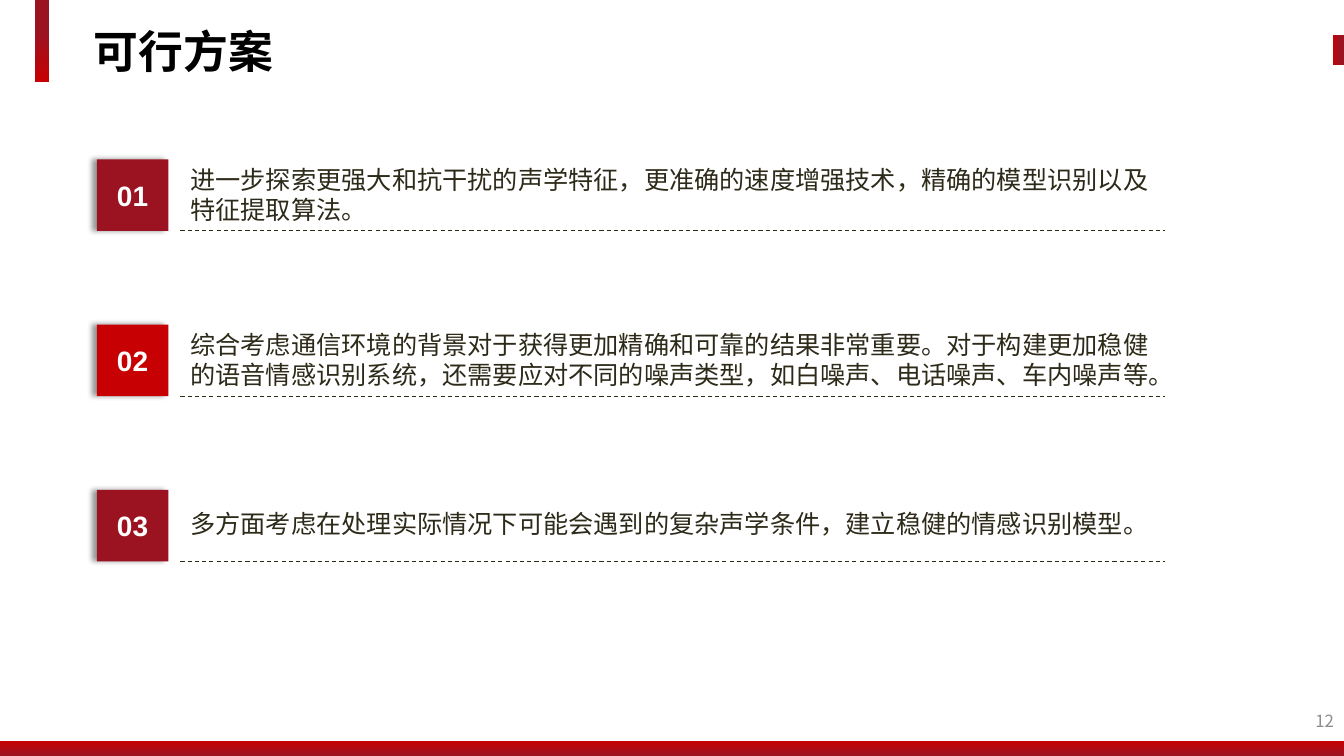
from dataclasses import dataclass

from lxml import etree
from pptx import Presentation
from pptx import util as u
from pptx.dml.color import RGBColor
from pptx.enum import dml, shapes, text
from pptx.oxml import ns


@dataclass(frozen=True)
class Theme:
    dark_red: str = "9B1321"
    red: str = "C70003"
    ink: str = "2D2A19"
    black: str = "000000"
    white: str = "FFFFFF"
    grey: str = "8C8C8C"
    latin: str = "Arial"
    chinese: str = "Noto Sans CJK SC"
    title_size: int = 32
    number_size: int = 20
    body_size: int = 18
    page_size: int = 12


@dataclass(frozen=True)
class Box:
    left: float
    top: float
    width: float
    height: float

    def lengths(self) -> list:
        return [u.Inches(n) for n in (self.left, self.top, self.width, self.height)]


@dataclass(frozen=True)
class Bar:
    box: Box
    angle: int
    first_stop: float


@dataclass(frozen=True)
class Proposal:
    number: str
    color: str
    wording: str
    text_offset: float = 0
    text_height: float = 0.71


THEME = Theme()
FIRST_TOP, ROW_PITCH, SQUARE = 1.58, 1.64, 0.71
SQUARE_LEFT, TEXT_LEFT, RULE_RIGHT, TEXT_WIDTH = 0.96, 1.79, 11.55, 9.83

BARS = [
    Bar(Box(13.22, 0.35, 0.11, 0.3), 180, 0.39),
    Bar(Box(0.35, 0, 0.14, 0.81), 270, 0.39),
    Bar(Box(0, 7.35, 13.33, 0.15), 90, 0),
]
PROPOSALS = [
    Proposal("01", THEME.dark_red,
             "进一步探索更强大和抗干扰的声学特征，更准确的速度增强技术，"
             "精确的模型识别以及特征提取算法。"),
    Proposal("02", THEME.red,
             "综合考虑通信环境的背景对于获得更加精确和可靠的结果非常重要。"
             "对于构建更加稳健的语音情感识别系统，还需要应对不同的噪声类型，"
             "如白噪声、电话噪声、车内噪声等。"),
    Proposal("03", THEME.dark_red,
             "多方面考虑在处理实际情况下可能会遇到的复杂声学条件，"
             "建立稳健的情感识别模型。", 0.13, 0.4),
]


def write(shape, wording: str, size: int, color: str, font_name: str,
          bold: bool = False, align=text.PP_ALIGN.LEFT,
          anchor=text.MSO_ANCHOR.TOP) -> None:
    frame = shape.text_frame
    frame_format = {"word_wrap": True, "vertical_anchor": anchor,
                    "auto_size": text.MSO_AUTO_SIZE.NONE}
    for name, value in frame_format.items():
        setattr(frame, name, value)
    paragraph = frame.paragraphs[0]
    paragraph.alignment = align
    run = paragraph.add_run()
    run.text = wording
    for name, value in {"size": u.Pt(size), "bold": bold, "name": font_name}.items():
        setattr(run.font, name, value)
    run.font.color.rgb = RGBColor.from_string(color)
    # East Asian typeface
    etree.SubElement(run._r.get_or_add_rPr(), ns.qn("a:ea"), typeface=THEME.chinese)


def add_rectangle(slide, box: Box):
    shape = slide.shapes.add_shape(shapes.MSO_SHAPE.RECTANGLE, *box.lengths())
    shape.line.fill.background()
    shape.shadow.inherit = False
    return shape


def add_bar(slide, bar: Bar) -> None:
    fill = add_rectangle(slide, bar.box).fill
    fill.gradient()
    fill.gradient_angle = bar.angle
    stops = [(bar.first_stop, THEME.dark_red), (1, THEME.red)]
    for stop, (position, color) in zip(fill.gradient_stops, stops):
        stop.position = position
        stop.color.rgb = RGBColor.from_string(color)


def add_left_shadow(shape) -> None:
    effects = shape._element.spPr.find(ns.qn("a:effectLst"))
    shadow = etree.SubElement(effects, ns.qn("a:outerShdw"), blurRad=str(u.Pt(4)),
                              dist=str(u.Pt(3)), dir="10800000", algn="r",
                              rotWithShape="0")
    color = etree.SubElement(shadow, ns.qn("a:srgbClr"), val=THEME.black)
    etree.SubElement(color, ns.qn("a:alpha"), val="40000")


def add_rule(slide, y: float) -> None:
    rule = slide.shapes.add_connector(
        shapes.MSO_CONNECTOR.STRAIGHT, u.Inches(TEXT_LEFT), u.Inches(y),
        u.Inches(RULE_RIGHT), u.Inches(y))
    rule.line.color.rgb = RGBColor.from_string(THEME.ink)
    rule.line.width = u.Pt(0.75)
    rule.line.dash_style = dml.MSO_LINE.DASH
    etree.SubElement(rule._element.spPr, ns.qn("a:effectLst"))


def add_proposal(slide, proposal: Proposal, top: float) -> None:
    square = add_rectangle(slide, Box(SQUARE_LEFT, top, SQUARE, SQUARE))
    square.fill.solid()
    square.fill.fore_color.rgb = RGBColor.from_string(proposal.color)
    add_left_shadow(square)
    write(square, proposal.number, THEME.number_size, THEME.white, THEME.latin,
          True, text.PP_ALIGN.CENTER, text.MSO_ANCHOR.MIDDLE)
    add_rule(slide, top + SQUARE)
    box = Box(TEXT_LEFT, top + proposal.text_offset, TEXT_WIDTH, proposal.text_height)
    write(slide.shapes.add_textbox(*box.lengths()), proposal.wording,
          THEME.body_size, THEME.ink, THEME.latin)


def main() -> None:
    presentation = Presentation()
    presentation.slide_width = u.Inches(13.33)
    presentation.slide_height = u.Inches(7.5)
    slide = presentation.slides.add_slide(presentation.slide_layouts[5])

    # Decorative bars
    for bar in BARS:
        add_bar(slide, bar)

    # Title
    title = slide.shapes.title
    title.left, title.top, title.width, title.height = Box(0.83, 0.19, 5.68, 0.62).lengths()
    write(title, "可行方案", THEME.title_size, THEME.black, THEME.chinese, True,
          anchor=text.MSO_ANCHOR.MIDDLE)

    # Page number
    page = slide.shapes.add_textbox(*Box(10.33, 6.95, 3, 0.4).lengths())
    write(page, "12", THEME.page_size, THEME.grey, THEME.chinese,
          align=text.PP_ALIGN.RIGHT, anchor=text.MSO_ANCHOR.MIDDLE)

    # Numbered proposals
    for row, proposal in enumerate(PROPOSALS):
        add_proposal(slide, proposal, FIRST_TOP + row * ROW_PITCH)

    presentation.save("out.pptx")


if __name__ == "__main__":
    main()
